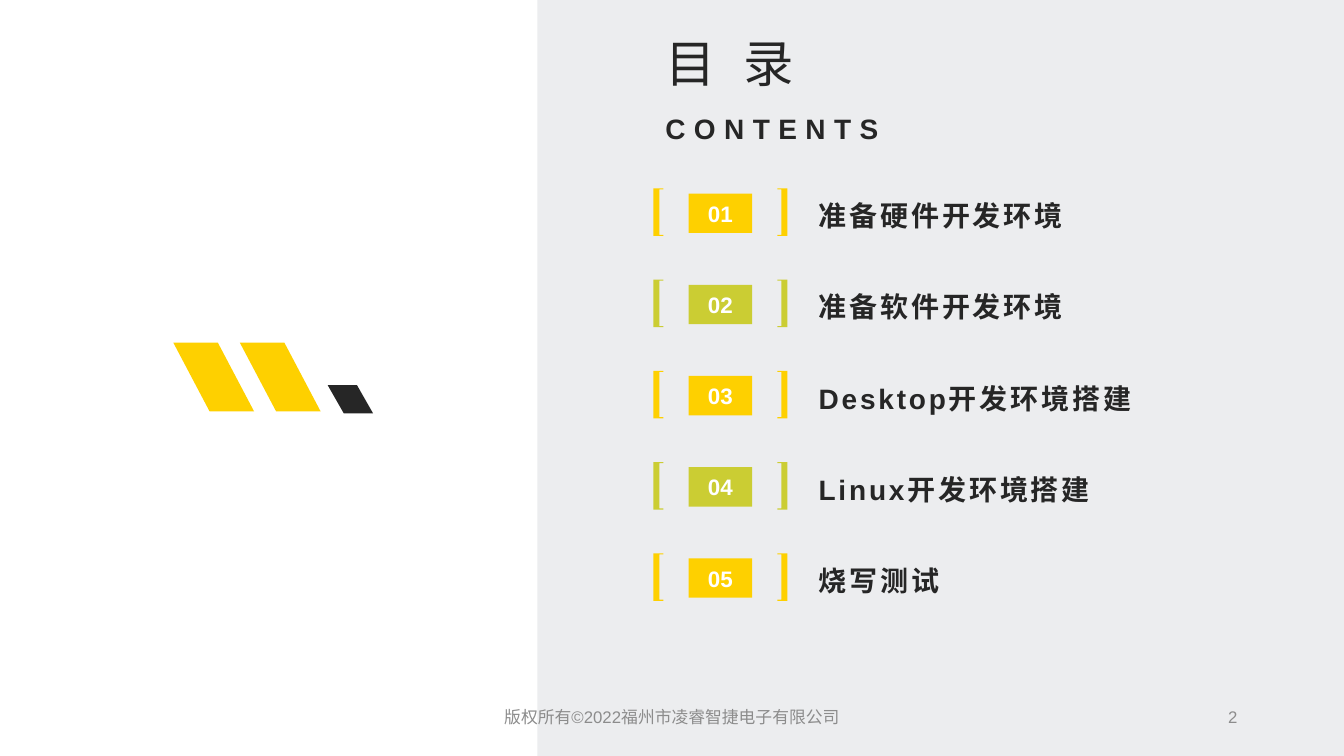
import pptx
import pptx.util
import pptx.dml.color
import pptx.enum.shapes
import pptx.enum.text

Inches = pptx.util.Inches
Shape = pptx.enum.shapes.MSO_SHAPE
Align = pptx.enum.text.PP_ALIGN
Anchor = pptx.enum.text.MSO_ANCHOR

TITLE = "目 录"
SUBTITLE = "CONTENTS"
CHAPTERS = [
    "准备硬件开发环境",
    "准备软件开发环境",
    "Desktop开发环境搭建",
    "Linux开发环境搭建",
    "烧写测试",
]
COPYRIGHT = "版权所有©2022福州市凌睿智捷电子有限公司"
PAGE_NUMBER = "2"

THEME = {
    "font": "Arial",
    "yellow": "FED000",
    "green": "CBCD33",
    "dark": "262626",
    "panel": "ECEDEF",
    "white": "FFFFFF",
    "grey": "8C8C8C",
    "title": 36,
    "heading": 20,
    "number": 16,
    "footer": 12,
}

SLANTS = [
    (1.72, 3.4, 0.8, 0.68, 0.527, "yellow"),
    (2.38, 3.4, 0.8, 0.68, 0.527, "yellow"),
    (3.25, 3.82, 0.45, 0.28, 0.57, "dark"),
]
FIRST_ROW, LAST_ROW = 1.66, 5.28
ROW_PITCH = (LAST_ROW - FIRST_ROW) / (len(CHAPTERS) - 1)
BRACKET_LEFT, BRACKET_RIGHT = 6.48, 7.81
BRACKET_OUTLINE = [
    (0, 0), (0.1, 0), (0.1, 0.01), (0.06, 0.01),
    (0.06, 0.46), (0.1, 0.46), (0.1, 0.47), (0, 0.47),
]


def paint(shape, color):
    shape.shadow.inherit = False
    shape.fill.solid()
    shape.fill.fore_color.rgb = pptx.dml.color.RGBColor.from_string(THEME[color])
    shape.line.fill.background()


def write(shape, text, size, color, bold=False, tracking=0, align=Align.LEFT,
          anchor=Anchor.MIDDLE, line_spacing=None):
    frame = shape.text_frame
    frame.word_wrap = True
    frame.vertical_anchor = anchor
    frame.text = text
    paragraph = frame.paragraphs[0]
    paragraph.alignment = align
    paragraph.line_spacing = line_spacing
    for run in paragraph.runs:
        run.font.name = THEME["font"]
        run.font.size = pptx.util.Pt(THEME[size])
        run.font.bold = bold
        run.font.color.rgb = pptx.dml.color.RGBColor.from_string(THEME[color])
        if tracking:
            run.font._element.set("spc", str(tracking * 100))


def add_block(slide, preset, box, color):
    block = slide.shapes.add_shape(preset, *map(Inches, box))
    paint(block, color)
    return block


def add_label(slide, box, text, size, color, **style):
    label = slide.shapes.add_textbox(*map(Inches, box))
    write(label, text, size, color, **style)


def add_bracket(slide, edge, direction, top, color):
    points = [(Inches(edge + direction * x), Inches(top + y))
              for x, y in BRACKET_OUTLINE]
    builder = slide.shapes.build_freeform(*points[0])
    builder.add_line_segments(points[1:], close=True)
    paint(builder.convert_to_shape(), color)


def add_chapter(slide, index, name):
    top = FIRST_ROW + index * ROW_PITCH
    color = "green" if index % 2 else "yellow"
    add_label(slide, (8.02, top, 3.58, 0.89), name, "heading", "dark",
              bold=True, tracking=2, line_spacing=1.2)
    add_bracket(slide, BRACKET_LEFT, 1, top + 0.21, color)
    add_bracket(slide, BRACKET_RIGHT, -1, top + 0.21, color)
    badge = add_block(slide, Shape.RECTANGLE, (6.83, top + 0.26, 0.63, 0.39), color)
    write(badge, f"{index + 1:02d}", "number", "white", bold=True, align=Align.CENTER)


def main():
    deck = pptx.Presentation()
    deck.slide_width, deck.slide_height = Inches(13.33), Inches(7.5)
    slide = deck.slides.add_slide(deck.slide_layouts[6])

    for *box, slope, color in SLANTS:
        slant = add_block(slide, Shape.PARALLELOGRAM, box, color)
        slant.adjustments[0] = slope
        slant._element.spPr.xfrm.set("flipH", "1")
    add_block(slide, Shape.RECTANGLE, (5.33, 0, 8, 7.5), "panel")

    add_label(slide, (6.5, 0.21, 3.6, 0.77), TITLE, "title", "dark",
              tracking=6, anchor=Anchor.TOP, line_spacing=1.1)
    add_label(slide, (6.5, 1.02, 3.6, 0.46), SUBTITLE, "heading", "dark",
              bold=True, tracking=6, anchor=Anchor.TOP, line_spacing=1.1)
    for index, name in enumerate(CHAPTERS):
        add_chapter(slide, index, name)

    add_label(slide, (4.5, 6.94, 4.33, 0.35), COPYRIGHT, "footer", "grey",
              align=Align.CENTER)
    add_label(slide, (9.42, 6.94, 2.95, 0.35), PAGE_NUMBER, "footer", "grey",
              align=Align.RIGHT)
    deck.save("out.pptx")


if __name__ == "__main__":
    main()
